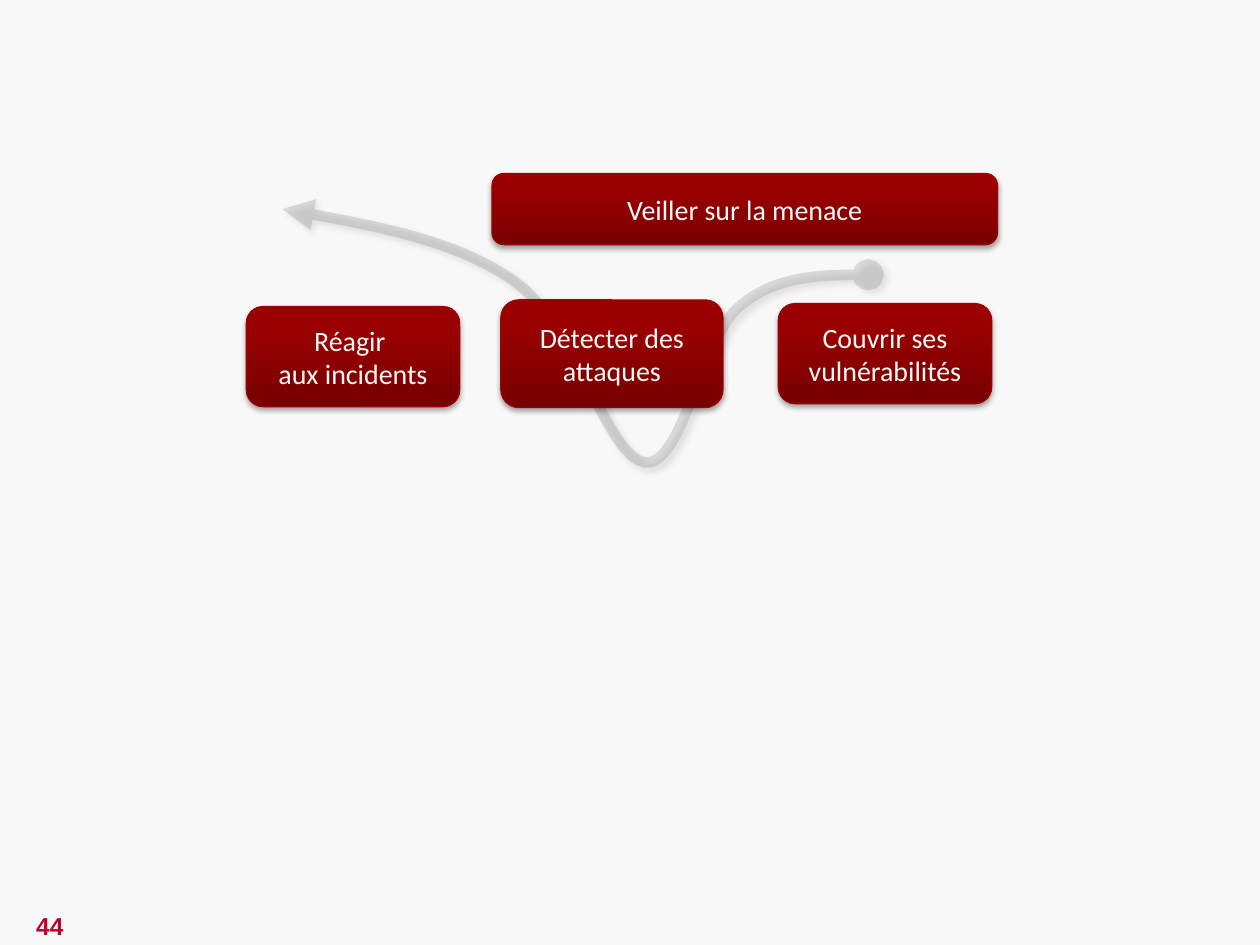
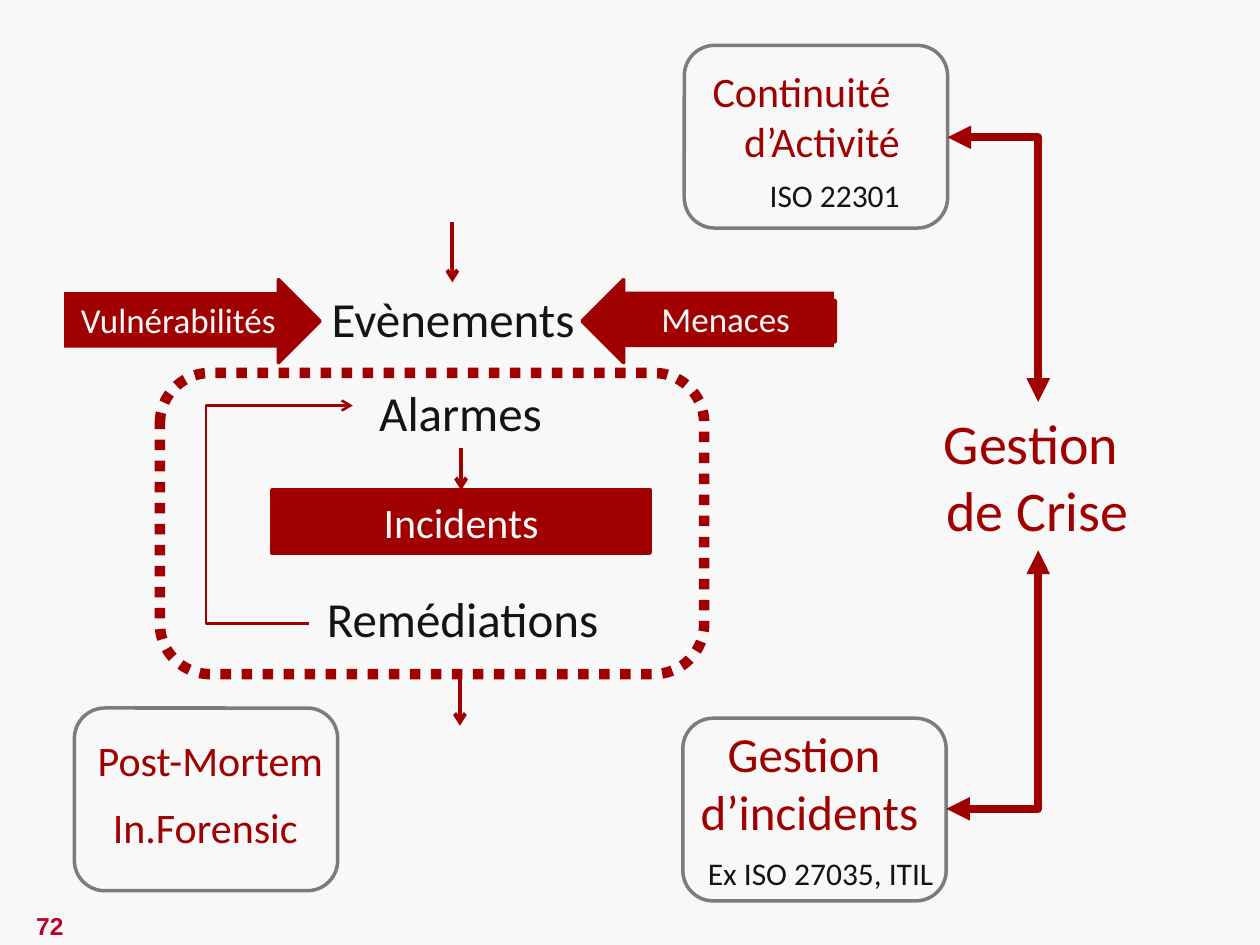
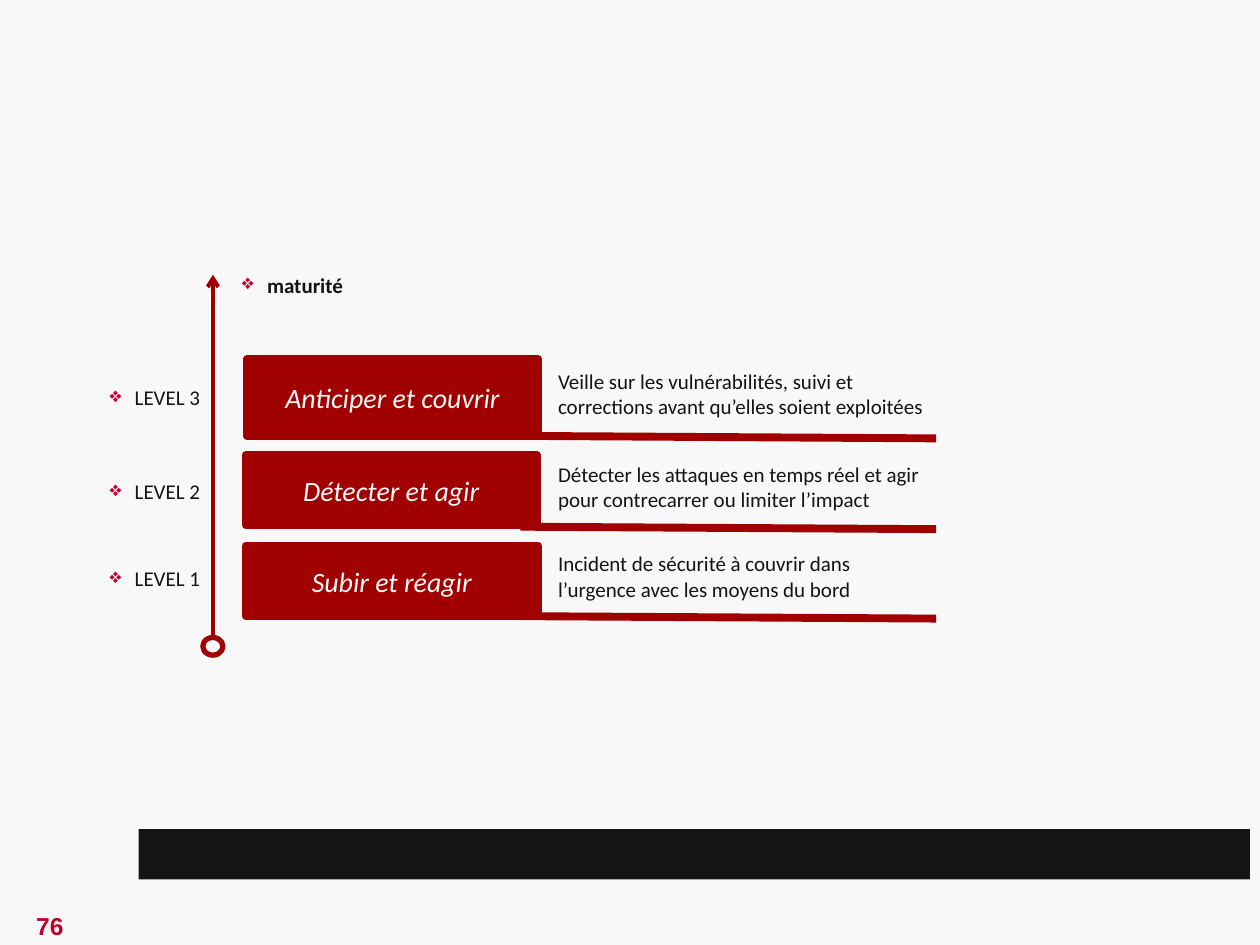
from lxml import etree
from pptx import Presentation
from pptx.dml.color import RGBColor
from pptx.enum.dml import MSO_LINE
from pptx.enum.shapes import MSO_CONNECTOR as LINK, MSO_SHAPE as SHAPE
from pptx.enum.text import MSO_ANCHOR as ANCHOR, PP_ALIGN as ALIGN
from pptx.oxml.ns import qn
from pptx.util import Pt

COLORS = {
    "paper": "F8F8F8",
    "ink": "141414",
    "red": "A00000",
    "edge": "9C0000",
    "deep": "770000",
    "bright": "9B0000",
    "grey": "7C7C7C",
    "bullet": "C80032",
    "number": "BC002B",
    "shadow": "000000",
}
TIGHT = (5, 2.5)
SMALL = (5, 3)
NORMAL = (7.2, 3.6)


def rgb(name):
    return RGBColor.from_string(COLORS[name])


def sub(parent, tag, **attributes):
    return etree.SubElement(parent, qn(tag), {k: str(v) for k, v in attributes.items()})


def bezier(start, controls, steps=16):
    """Points along a chain of cubic curves, after its start."""
    points = []
    for i in range(0, len(controls), 3):
        a, (b, c, d) = start, controls[i:i + 3]
        for t in (step / steps for step in range(1, steps + 1)):
            u = 1 - t
            points.append(tuple(
                u**3 * a[k] + 3 * u * u * t * b[k] + 3 * u * t * t * c[k] + t**3 * d[k]
                for k in (0, 1)))
        start = d
    return points


class Deck:
    """Shared style and the slide being filled."""

    def __init__(self):
        self.prs = Presentation()
        self.prs.slide_width, self.prs.slide_height = Pt(720), Pt(540)

    def new_slide(self, number):
        slide = self.prs.slides.add_slide(self.prs.slide_layouts[6])
        slide.background.fill.solid()
        slide.background.fill.fore_color.rgb = rgb("paper")
        self.shapes = slide.shapes
        self.text((-1.4, 517, 59.8, 24.5), number, 14, "number", ALIGN.CENTER,
                  anchor=ANCHOR.MIDDLE, font="Arial", bold=True)

    def label(self, shape, text, size, color, align=ALIGN.LEFT, anchor=ANCHOR.TOP,
              insets=NORMAL, font="Calibri", bold=False, italic=False,
              bullet=None, wrap=True):
        frame = shape.text_frame
        frame.text = text
        frame.word_wrap = wrap
        frame.vertical_anchor = anchor
        frame.margin_left = frame.margin_right = Pt(insets[0])
        frame.margin_top = frame.margin_bottom = Pt(insets[1])
        for paragraph in frame.paragraphs:
            paragraph.alignment = align
            if bullet:
                props = paragraph._p.get_or_add_pPr()
                props.set("marL", str(Pt(14.4)))
                props.set("indent", str(Pt(-14.4)))
                sub(sub(props, "a:buClr"), "a:srgbClr", val=COLORS["bullet"])
                sub(props, "a:buChar", char=bullet)
            for run in paragraph.runs:
                run.font.name, run.font.size = font, Pt(size)
                run.font.bold, run.font.italic = bold, italic
                run.font.color.rgb = rgb(color)

    def text(self, box, text, size, color="ink", align=ALIGN.LEFT, **style):
        self.label(self.shapes.add_textbox(*map(Pt, box)), text, size, color, align, **style)

    def stroke(self, shape, color, width, head=None, tail=None):
        shape.line.color.rgb = rgb(color)
        shape.line.width = Pt(width)
        for tag, end in (("a:headEnd", head), ("a:tailEnd", tail)):
            if end:
                sub(shape._element.spPr.find(qn("a:ln")), tag, type=end)

    def shape(self, kind, box, fill=None, line=None, width=2.0, dash=None):
        shape = self.shapes.add_shape(kind, *map(Pt, box))
        shape.shadow.inherit = False
        if fill:
            shape.fill.solid()
            shape.fill.fore_color.rgb = rgb(fill)
        else:
            shape.fill.background()
        if line:
            self.stroke(shape, line, width)
            if dash:
                shape.line.dash_style = dash
        else:
            shape.line.fill.background()
        return shape

    def drop_shadow(self, shape, opacity, blur, distance, angle):
        shape.shadow.inherit = False
        effects = shape._element.spPr.find(qn("a:effectLst"))
        shadow = sub(effects, "a:outerShdw", blurRad=Pt(blur), dist=Pt(distance),
                     dir=angle * 60000, algn="ctr", rotWithShape=0)
        sub(sub(shadow, "a:srgbClr", val=COLORS["shadow"]), "a:alpha", val=opacity * 1000)

    def glossy(self, box, text):
        button = self.shape(SHAPE.ROUNDED_RECTANGLE, box, "red", "edge", 0.75)
        button.fill.gradient()
        button.fill.gradient_angle = 90
        stops = button.fill.gradient_stops
        for stop, color, position in zip(stops, ("deep", "bright"), (0, 0.8)):
            stop.color.rgb = rgb(color)
            stop.position = position
        self.drop_shadow(button, 35, 3.1, 1.8, 90)
        self.label(button, text, 16, "paper", ALIGN.CENTER, ANCHOR.MIDDLE, TIGHT)

    def curve(self, start, controls):
        builder = self.shapes.build_freeform(*map(Pt, start))
        builder.add_line_segments(
            [(Pt(x), Pt(y)) for x, y in bezier(start, controls)], close=False)
        trail = builder.convert_to_shape()
        trail.fill.background()
        self.stroke(trail, "grey", 6, "oval", "triangle")
        line_color = trail._element.spPr.find(qn("a:ln")).find(".//" + qn("a:srgbClr"))
        sub(line_color, "a:alpha", val=24000)
        self.drop_shadow(trail, 40, 4, 3, 45)

    def link(self, start, end, width=2.25, head=None, tail=None, bend=None, adjust=None):
        kind = LINK.ELBOW if bend else LINK.STRAIGHT
        connector = self.shapes.add_connector(kind, *map(Pt, start + end))
        self.stroke(connector, "red", width, head, tail)
        properties = connector._element.spPr
        sub(properties, "a:effectLst")
        if bend:
            geometry = properties.find(qn("a:prstGeom"))
            geometry.set("prst", bend)
            if adjust is not None:
                guides = geometry.find(qn("a:avLst"))
                if guides is None:
                    guides = sub(geometry, "a:avLst")
                sub(guides, "a:gd", name="adj1", fmla=f"val {adjust}")


def approach_slide(deck):
    deck.new_slide("44")
    deck.curve((496.1, 157), [
        (470.2, 157), (443.5, 157), (422.6, 175),
        (401, 192.2), (390.2, 267.1), (368.6, 264.2),
        (347, 262.1), (328.3, 184.3), (293.8, 160.6),
        (259.2, 136.1), (210.2, 128.2), (161.3, 119.5)])
    for box, step in (
        ((286.2, 171.4, 126.9, 61.5), "Détecter des attaques"),
        ((140.8, 175.2, 121.9, 57.2), "Réagir \naux incidents"),
        ((281.2, 99.2, 288.8, 40.6), "Veiller sur la menace"),
        ((444.8, 173.5, 121.9, 57.2), "Couvrir ses vulnérabilités"),
    ):
        deck.glossy(box, step)


def crisis_slide(deck):
    deck.new_slide("72")
    center, right = ALIGN.CENTER, ALIGN.RIGHT

    # Flow from events to remediation
    for box, stage in (
        ((164.2, 161.3, 189.4, 41), "Evènements"),
        ((200.9, 215.3, 124.6, 41), "Alarmes"),
        ((175, 332.6, 178.6, 41), "Remédiations"),
    ):
        deck.text(box, stage, 28, align=center)
    incidents = deck.shape(SHAPE.RECTANGLE, (155.5, 280.1, 216, 36), "red", "red")
    deck.label(incidents, "Incidents", 24, "paper", center, ANCHOR.MIDDLE)
    for x, top, bottom in ((258.5, 126.7, 161.3), (263.5, 256.3, 280.1), (262.8, 388.1, 414.7)):
        deck.link((x, top), (x, bottom), tail="arrow")
    deck.shape(SHAPE.ROUNDED_RECTANGLE, (91.4, 213.1, 311, 172.1), line="red", width=6,
               dash=MSO_LINE.ROUND_DOT)
    deck.link((176.4, 356.4), (201.6, 231.8), 1.5, tail="arrow",
              bend="bentConnector3", adjust=-233200)

    # Causes on both sides
    for arrow, arrow_box, band_box, cause in (
        (SHAPE.RIGHT_ARROW, (43.2, 159.8, 139.7, 47.5), (36.7, 167, 130.3, 31.7), "Vulnérabilités"),
        (SHAPE.LEFT_ARROW, (332.6, 159.8, 144.7, 47.5), (352.8, 166.7, 123.8, 31.7), "Menaces"),
    ):
        deck.shape(arrow, arrow_box, "red", "red")
        band = deck.shape(SHAPE.RECTANGLE, band_box, "red")
        deck.label(band, cause, 20, "paper", center)

    # Related processes
    for left, top in ((391, 25.9), (390.2, 410.4), (42.5, 404.6)):
        deck.shape(SHAPE.ROUNDED_RECTANGLE, (left, top, 150.5, 104.4), line="grey")
    for box, process, size, align in (
        ((384.5, 409.7, 156.2, 74.9), "Gestion \vd’incidents", 28, center),
        ((516.2, 229.7, 153.4, 85), "Gestion \vde Crise", 32, center),
        ((36.7, 416.2, 167, 36), "Post-Mortem", 24, center),
        ((33.8, 454.3, 167, 36), "In.Forensic", 24, center),
        ((376.6, 33.8, 144.7, 65.5), "Continuité \nd’Activité", 24, right),
    ):
        deck.text(box, process, size, "red", align)
    deck.text((431.3, 97.2, 90, 28.8), "ISO 22301", 18, align=right, wrap=False)
    deck.text((397.4, 484.6, 149, 28.8), "Ex ISO 27035, ITIL", 18, wrap=False)
    for start, end in (((540.7, 462.2), (593.3, 314.6)), ((541.4, 78.5), (593.3, 229.7))):
        deck.link(start, end, 4.5, "triangle", "triangle", bend="bentConnector2")


def maturity_slide(deck):
    deck.new_slide("76")

    # Maturity axis
    deck.link((121.7, 370.8), (121.7, 157), tail="arrow")
    deck.shape(SHAPE.OVAL, (115.9, 364.3, 11.5, 10.1), "paper", "red", 3)
    deck.text((133.2, 152.6, 202.3, 20.9), "maturité", 12, insets=SMALL, bold=True, bullet="❖")

    # Levels: label top, bar box, note top, rule height
    for level, label_y, bar_box, note_y, rule_y, name, note in (
        (3, 216.7, (141.1, 205.2, 166.3, 43.9), 207.4, 249.1, "Anticiper et couvrir",
         "Veille sur les vulnérabilités, suivi et corrections avant qu’elles soient exploitées"),
        (2, 270.7, (140.4, 259.9, 166.3, 40.3), 260.6, 301, "Détecter et agir",
         "Détecter les attaques en temps réel et agir pour contrecarrer ou limiter l’impact"),
        (1, 320.4, (140.4, 311.8, 167, 40.3), 311.8, 352.1, "Subir et réagir",
         "Incident de sécurité à couvrir dans l’urgence avec les moyens du bord"),
    ):
        deck.link((297.4, rule_y), (535, rule_y + 1.4), 4.5)
        bar = deck.shape(SHAPE.ROUNDED_RECTANGLE, bar_box, "red", "red", 4.5)
        bar.adjustments[0] = 0
        deck.label(bar, name, 16, "paper", ALIGN.CENTER, ANCHOR.MIDDLE, italic=True)
        deck.text((57.6, label_y, 80.6, 20.9), f"LEVEL {level}", 12, insets=SMALL, bullet="❖")
        deck.text((313.9, note_y, 223, 20.9), note, 12, insets=SMALL)

    # Closing band
    deck.shape(SHAPE.RECTANGLE, (79.2, 473.8, 635, 28.8), "ink")


def main():
    deck = Deck()
    approach_slide(deck)
    crisis_slide(deck)
    maturity_slide(deck)
    deck.prs.save("out.pptx")


if __name__ == "__main__":
    main()
